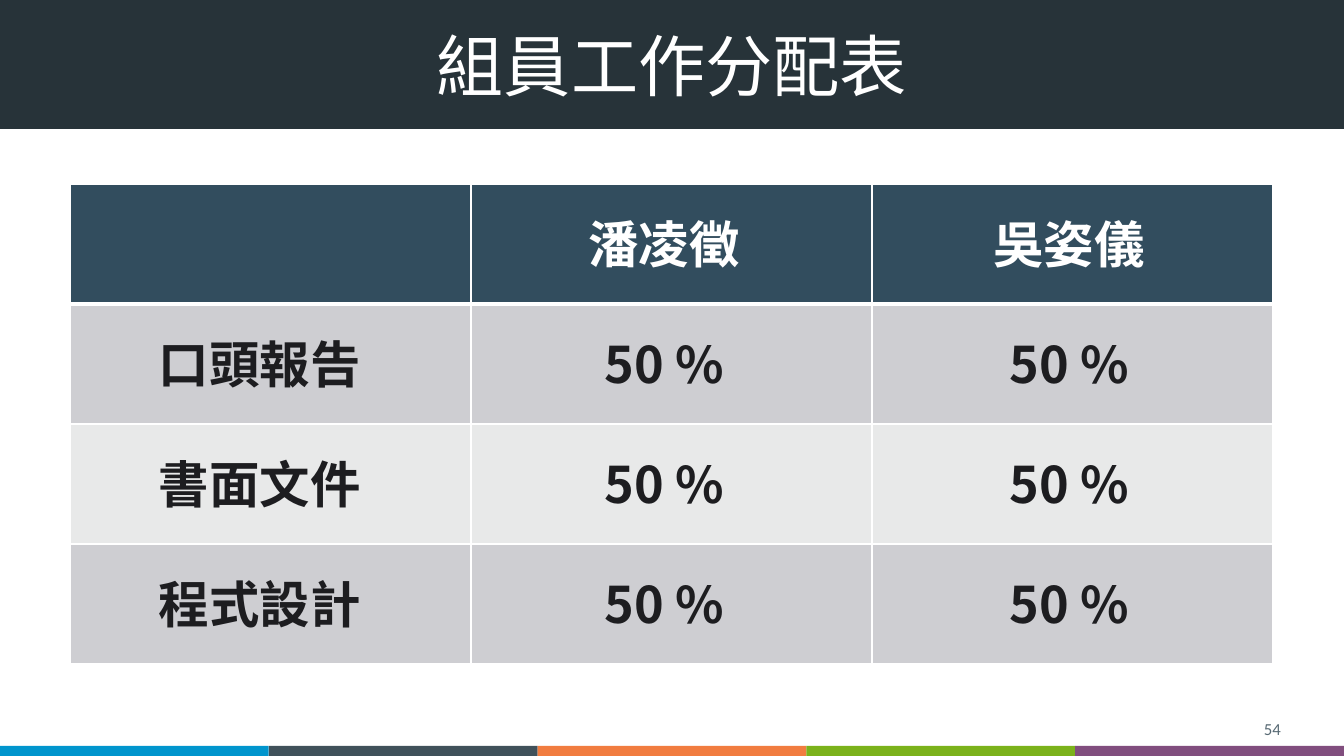
from lxml.etree import SubElement
from pptx import Presentation
from pptx.dml.color import RGBColor
from pptx.enum.shapes import MSO_SHAPE
from pptx.enum.text import MSO_ANCHOR, MSO_AUTO_SIZE, PP_ALIGN
from pptx.oxml.ns import qn
from pptx.util import Pt

PX = 914400 / 100.8
SLIDE_W, SLIDE_H = 1344, 756

WHITE = RGBColor(0xFF, 0xFF, 0xFF)
BANNER = RGBColor(0x27, 0x33, 0x39)
HEADER = RGBColor(0x32, 0x4D, 0x5E)
ROW_DARK = RGBColor(0xCE, 0xCE, 0xD2)
ROW_LIGHT = RGBColor(0xE8, 0xE9, 0xE9)
INK = RGBColor(0x1D, 0x1D, 0x20)
PAGE_GREY = RGBColor(0x57, 0x69, 0x73)
STRIPES = [RGBColor(0x00, 0x95, 0xCD), RGBColor(0x40, 0x51, 0x5A),
           RGBColor(0xF1, 0x7C, 0x3F), RGBColor(0x7B, 0xB2, 0x1B),
           RGBColor(0x81, 0x4E, 0x7E)]

CJK = "Noto Sans CJK SC"
SHARES = [["", "潘凌徵", "吳姿儀"],
          ["口頭報告", "50 %", "50 %"],
          ["書面文件", "50 %", "50 %"],
          ["程式設計", "50 %", "50 %"]]
LABEL_WIDTHS = {"50 %": 140, "潘凌徵": 173, "吳姿儀": 173}
TASK_WIDTH = 224
LABEL_H = 72


def px(*lengths):
    return [round(length * PX) for length in lengths]


def add_bar(slide, box, color):
    bar = slide.shapes.add_shape(MSO_SHAPE.RECTANGLE, *px(*box))
    bar.shadow.inherit = False
    bar.fill.solid()
    bar.fill.fore_color.rgb = color
    bar.line.fill.background()


def add_label(slide, box, text, size, color, font=CJK, bold=False,
              align=PP_ALIGN.LEFT, anchor=MSO_ANCHOR.TOP, wrap=True):
    label = slide.shapes.add_textbox(*px(*box))
    frame = label.text_frame
    frame.word_wrap = wrap
    frame.auto_size = MSO_AUTO_SIZE.NONE if wrap else MSO_AUTO_SIZE.SHAPE_TO_FIT_TEXT
    frame.vertical_anchor = anchor
    line = frame.paragraphs[0]
    line.alignment = align
    run = line.add_run()
    run.text = text
    run.font.size = Pt(size)
    run.font.bold = bold
    run.font.color.rgb = color
    run.font.name = font
    # East Asian glyphs take their own font entry
    SubElement(run.font._element, qn("a:ea"), typeface=font)
    return line


def add_banner(slide, left, top, width, height):
    add_bar(slide, (left, top, width, height), BANNER)
    title = add_label(slide, (left + 27, top + 34, width - 54, 74), "組員工作分配表",
                      48, WHITE, align=PP_ALIGN.CENTER, anchor=MSO_ANCHOR.MIDDLE)
    title.line_spacing = 0.9


def add_footer(slide, left, top, width, height):
    stripe_w = width / len(STRIPES)
    for i, color in enumerate(STRIPES):
        add_bar(slide, (left + i * stripe_w, top, stripe_w, height), color)
    add_label(slide, (left + width - 355, top - 33, 302, 31), "54", 12, PAGE_GREY,
              font="Calibri", align=PP_ALIGN.RIGHT, anchor=MSO_ANCHOR.MIDDLE)


def style_cell(cell, row):
    cell.fill.solid()
    cell.fill.fore_color.rgb = HEADER if row == 0 else ROW_DARK if row % 2 else ROW_LIGHT
    # Borders go before the fill in the cell properties
    widths = {"L": 1, "R": 1, "T": 3 if row == 1 else 1, "B": 3 if row == 0 else 1}
    props = cell._tc.get_or_add_tcPr()
    for i, (side, points) in enumerate(widths.items()):
        border = SubElement(props, qn(f"a:ln{side}"), w=str(Pt(points)))
        fill = SubElement(border, qn("a:solidFill"))
        SubElement(fill, qn("a:srgbClr"), val=str(WHITE))
        props.insert(i, border)


def add_share_table(slide, left, top, width, height):
    rows, cols = len(SHARES), len(SHARES[0])
    grid = slide.shapes.add_table(rows, cols, *px(left, top, width, height)).table
    row_h = height / rows
    centers = [left + 191, left + 595, left + 1000]
    for r, shares in enumerate(SHARES):
        for c, text in enumerate(shares):
            style_cell(grid.cell(r, c), r)
            if text:
                label_w = LABEL_WIDTHS.get(text, TASK_WIDTH)
                box = (centers[c] - label_w / 2, top + 24 + r * row_h, label_w, LABEL_H)
                add_label(slide, box, text, 36, INK if r else WHITE,
                          bold=True, wrap=False)


def main():
    deck = Presentation()
    deck.slide_width, deck.slide_height = px(SLIDE_W, SLIDE_H)
    slide = deck.slides.add_slide(deck.slide_layouts[6])
    add_banner(slide, 0, -1, SLIDE_W, 130)
    add_footer(slide, 0, 746, SLIDE_W, 10)
    add_share_table(slide, 70, 184, 1203, 480)
    deck.save("out.pptx")


if __name__ == "__main__":
    main()
